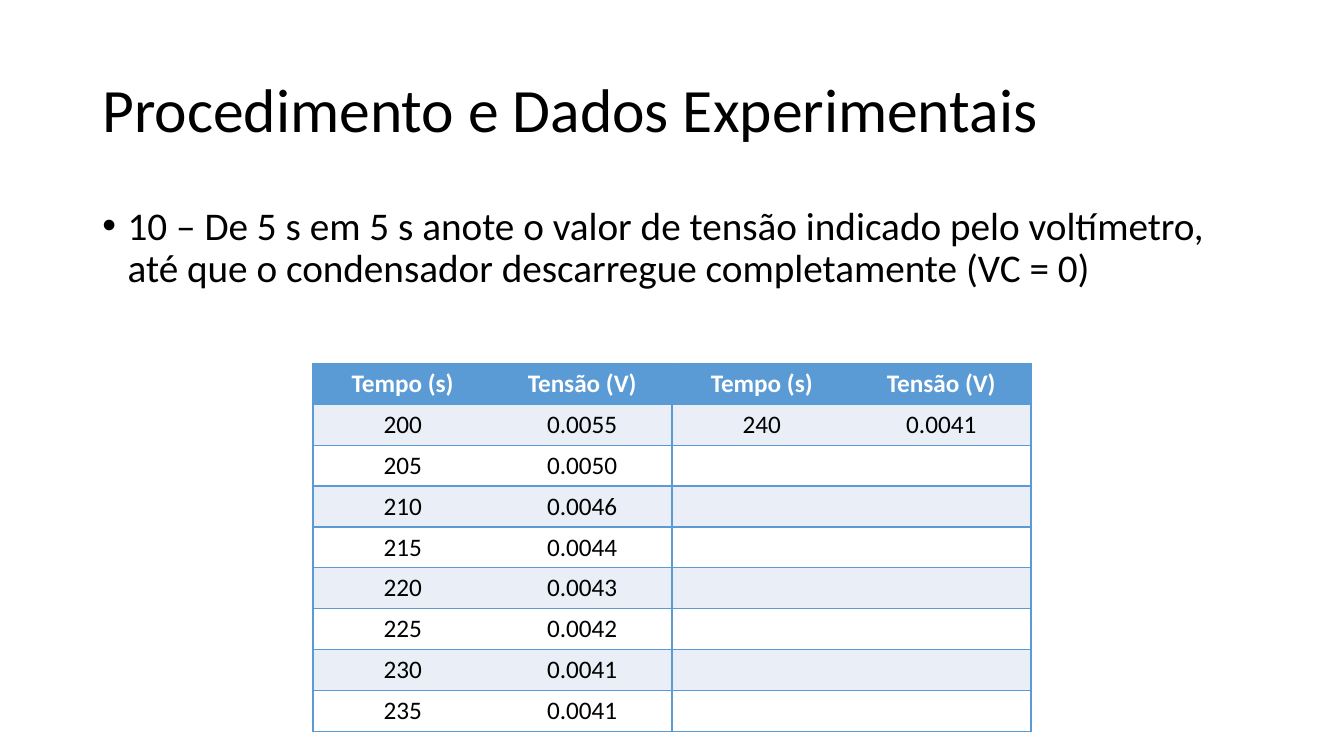
from lxml import etree
from pptx import Presentation
from pptx import util as u
from pptx.dml.color import RGBColor
from pptx.enum import text
from pptx.oxml.ns import qn

PX = 9525  # EMU per px, 96 px to the inch
FONT = "Calibri"
COLORS = {"ink": "000000", "header": "5B9BD5", "white": "FFFFFF", "band": "EAEFF7"}
ROW_COUNT, ROW_H, COL_W = 9, 39, 171
TABLE_TOP = 346

HEADINGS = ("Tempo (s)", "Tensão (V)")
LEFT_READINGS = [
    ("200", "0.0055"), ("205", "0.0050"), ("210", "0.0046"), ("215", "0.0044"),
    ("220", "0.0043"), ("225", "0.0042"), ("230", "0.0041"), ("235", "0.0041"),
]
RIGHT_READINGS = [("240", "0.0041")]


def px(n):
    return u.Emu(n * PX)


def rgb(name):
    return RGBColor.from_string(COLORS[name])


def format_runs(p, size, color, bold=False):
    for r in p.runs:
        r.font.name = FONT
        r.font.size = u.Pt(size)
        r.font.bold = bold
        r.font.color.rgb = rgb(color)


def fill_placeholder(sp, words, box, size, anchor):
    sp.left, sp.top, sp.width, sp.height = map(px, box)
    tf = sp.text_frame
    tf.text = words
    tf.word_wrap = True
    tf.auto_size = text.MSO_AUTO_SIZE.NONE
    tf.vertical_anchor = anchor
    p = tf.paragraphs[0]
    p.alignment = text.PP_ALIGN.LEFT
    p.line_spacing = 0.9
    format_runs(p, size, "ink")
    return p


def set_bullet(p, indent):
    pPr = p._p.get_or_add_pPr()
    pPr.set("marL", str(px(indent)))
    pPr.set("indent", str(px(-indent)))
    etree.SubElement(pPr, qn("a:buFont")).set("typeface", "Arial")
    etree.SubElement(pPr, qn("a:buChar")).set("char", "•")


def set_borders(cell, visible):
    tcPr = cell._tc.get_or_add_tcPr()
    for side in "LRTB":
        ln = etree.SubElement(tcPr, qn("a:ln" + side), w=str(u.Pt(1)))
        if side in visible:
            fill = etree.SubElement(ln, qn("a:solidFill"))
            etree.SubElement(fill, qn("a:srgbClr"), val=COLORS["header"])
        else:
            etree.SubElement(ln, qn("a:noFill"))


def add_readings(s, left, readings):
    frame = s.shapes.add_table(ROW_COUNT, 2, px(left), px(TABLE_TOP),
                               px(2 * COL_W), px(ROW_COUNT * ROW_H))
    table = frame.table
    for col in table.columns:
        col.width = px(COL_W)
    rows = [HEADINGS] + readings
    rows += [("", "")] * (ROW_COUNT - len(rows))
    for i, row in enumerate(rows):
        is_header = i == 0
        fill = "header" if is_header else ("white", "band")[i % 2]
        for j, value in enumerate(row):
            cell = table.cell(i, j)
            set_borders(cell, ("LTB", "RTB")[j])
            cell.fill.solid()
            cell.fill.fore_color.rgb = rgb(fill)
            if value:
                cell.text_frame.text = value
            p = cell.text_frame.paragraphs[0]
            p.alignment = text.PP_ALIGN.CENTER
            format_runs(p, 18, "white" if is_header else "ink", is_header)


def main():
    prs = Presentation()
    prs.slide_width, prs.slide_height = px(1280), px(720)
    s = prs.slides.add_slide(prs.slide_layouts[1])

    # Title and instruction
    fill_placeholder(s.shapes.title, "Procedimento e Dados Experimentais",
                     (88, 38, 1104, 139), 44, text.MSO_ANCHOR.MIDDLE)
    step = fill_placeholder(
        s.placeholders[1],
        "10 – De 5 s em 5 s anote o valor de tensão indicado pelo voltímetro, "
        "até que o condensador descarregue completamente (VC = 0)",
        (88, 192, 1104, 457), 28, text.MSO_ANCHOR.TOP)
    step.space_before = u.Pt(10)
    set_bullet(step, 24)

    # Two adjoining tables of readings
    left = 298
    add_readings(s, left + 2 * COL_W, RIGHT_READINGS)
    add_readings(s, left, LEFT_READINGS)

    prs.save("out.pptx")


if __name__ == "__main__":
    main()
